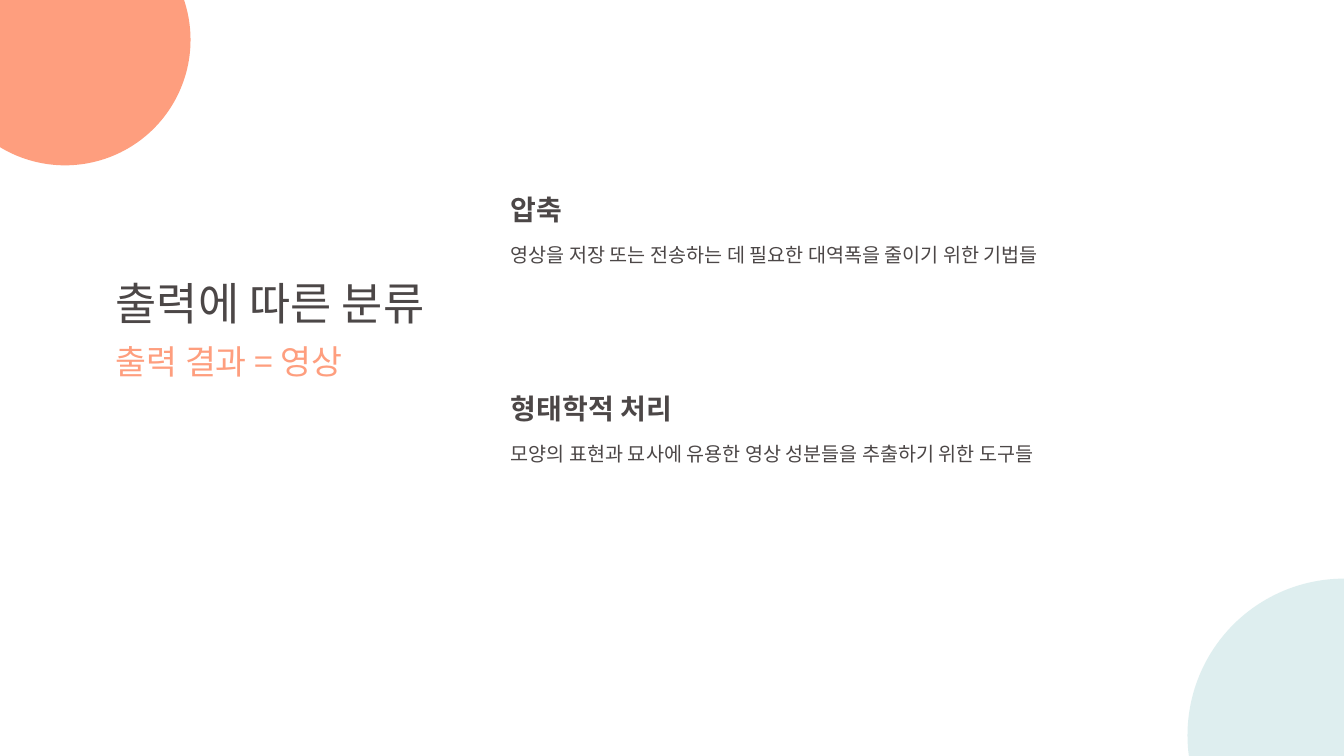
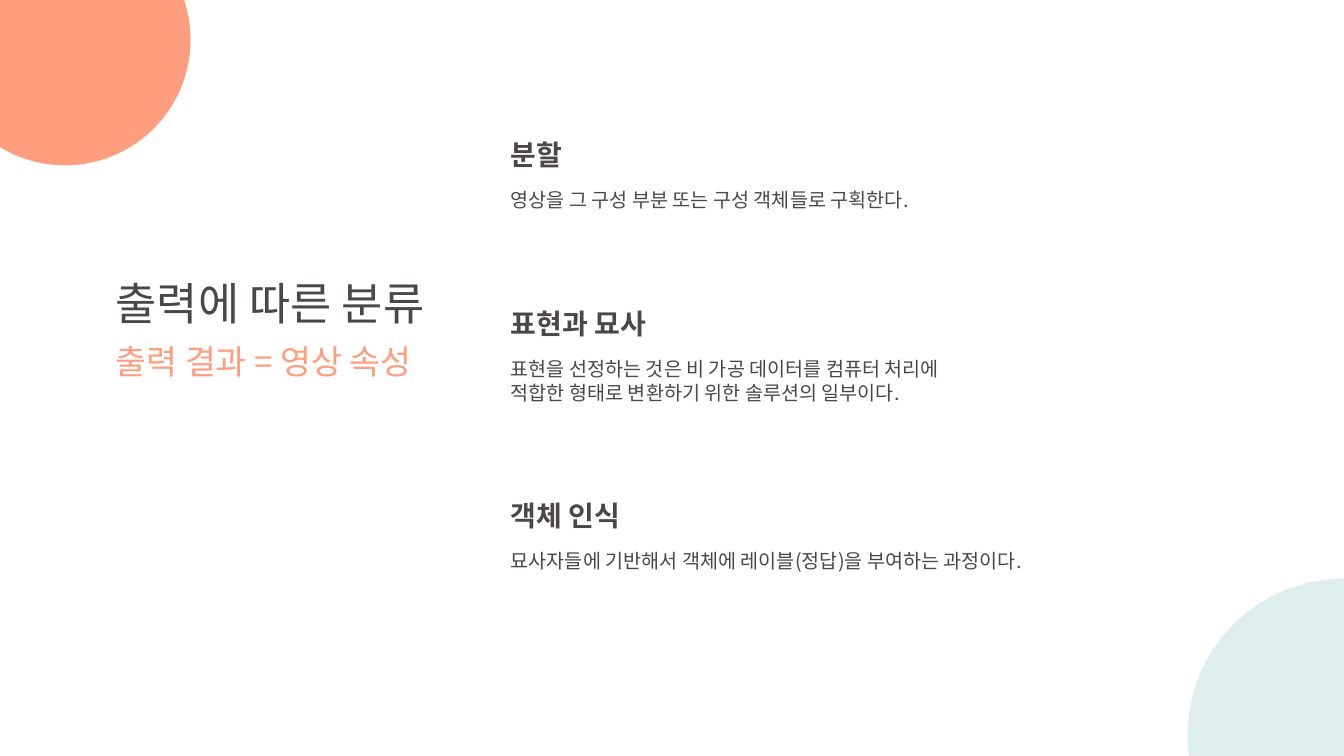
from lxml.etree import SubElement
from pptx import Presentation
from pptx.dml.color import RGBColor
from pptx.enum.shapes import MSO_SHAPE as Shape
from pptx.oxml.ns import qn
from pptx.util import Pt

FONT = "Noto Sans CJK KR"
CORAL = RGBColor(0xFE, 0x9E, 0x7E)
MINT = RGBColor(0xC8, 0xE4, 0xE5)
INK = RGBColor(0x4C, 0x47, 0x47)

TITLE = "출력에 따른 분류"
TITLE_BOX = (75.6, 193.7, 263.5, 82)
TOPIC_LEFT, TOPIC_WIDTH = 357.8, 441
HEADING_HEIGHT, BODY_OFFSET = 31.5, 36
BODY_HEIGHT, BODY_LINE = 24.4, 16.8

SLIDES = [
    dict(result="출력 결과 = 영상", top=133.9, gap=82, topics=[
        ("압축", ["영상을 저장 또는 전송하는 데 필요한 대역폭을 줄이기 위한 기법들"]),
        ("형태학적 처리", ["모양의 표현과 묘사에 유용한 영상 성분들을 추출하기 위한 도구들"]),
    ]),
    dict(result="출력 결과 = 영상 속성", top=95, gap=60, topics=[
        ("분할", ["영상을 그 구성 부분 또는 구성 객체들로 구획한다."]),
        ("표현과 묘사", ["표현을 선정하는 것은 비 가공 데이터를 컴퓨터 처리에",
                    "적합한 형태로 변환하기 위한 솔루션의 일부이다."]),
        ("객체 인식", ["묘사자들에 기반해서 객체에 레이블(정답)을 부여하는 과정이다."]),
    ]),
]


def add_alpha(solid_fill, percent):
    SubElement(solid_fill[0], qn("a:alpha"), val=str(percent * 1000))


def style_span(span, size, color, bold):
    """Format a run, with a faint outline in its own colour."""
    font = span.font
    font.name, font.size, font.bold = FONT, Pt(size), bold
    font.color.rgb = color
    props = font._element if hasattr(font, "_element") else span._r.get_or_add_rPr()
    SubElement(props, qn("a:ea"), typeface=FONT)
    outline = SubElement(props, qn("a:ln"), w=str(Pt(0.75)))
    fill = SubElement(outline, qn("a:solidFill"))
    SubElement(fill, qn("a:srgbClr"), val=str(color))
    add_alpha(fill, 20)
    props.insert(0, outline)


def add_text(page, lines, left, top, width, height, size=14, color=INK, bold=False):
    box = page.shapes.add_textbox(Pt(left), Pt(top), Pt(width), Pt(height))
    frame = box.text_frame
    frame.word_wrap = True
    for index, line in enumerate(lines):
        para = frame.add_paragraph() if index else frame.paragraphs[0]
        span = para.add_run()
        span.text = line
        style_span(span, size, color, bold)


def add_circle(page, left, top, diameter, color, opacity=100):
    circle = page.shapes.add_shape(Shape.OVAL, Pt(left), Pt(top), Pt(diameter), Pt(diameter))
    circle.shadow.inherit = False
    circle.line.fill.background()
    circle.fill.solid()
    circle.fill.fore_color.rgb = color
    if opacity < 100:
        add_alpha(circle._element.spPr.find(qn("a:solidFill")), opacity)


def add_corners(page):
    add_circle(page, -43.2, -61.2, 179.3, CORAL)
    add_circle(page, 848.2, 413.3, 223.9, MINT, opacity=60)


def add_title(page, result, left, top, width, height):
    title_height = 46
    add_text(page, [TITLE], left, top, width, title_height, size=32)
    add_text(page, [result], left, top + title_height, width, height - title_height,
             size=24, color=CORAL)


def add_topic(page, heading, lines, left, top, width):
    """Place a heading over its description and return the bottom edge."""
    body_top = top + BODY_OFFSET
    body_height = BODY_HEIGHT + BODY_LINE * (len(lines) - 1)
    add_text(page, [heading], left, top, width, HEADING_HEIGHT, size=20, bold=True)
    add_text(page, lines, left, body_top, width, body_height)
    return body_top + body_height


def add_topic_slide(deck, result, top, gap, topics):
    page = deck.slides.add_slide(deck.slide_layouts[6])
    add_corners(page)
    add_title(page, result, *TITLE_BOX)
    for heading, lines in topics:
        top = add_topic(page, heading, lines, TOPIC_LEFT, top, TOPIC_WIDTH) + gap


def main():
    deck = Presentation()
    deck.slide_width, deck.slide_height = Pt(960), Pt(540)
    for content in SLIDES:
        add_topic_slide(deck, **content)
    deck.save("out.pptx")


if __name__ == "__main__":
    main()
